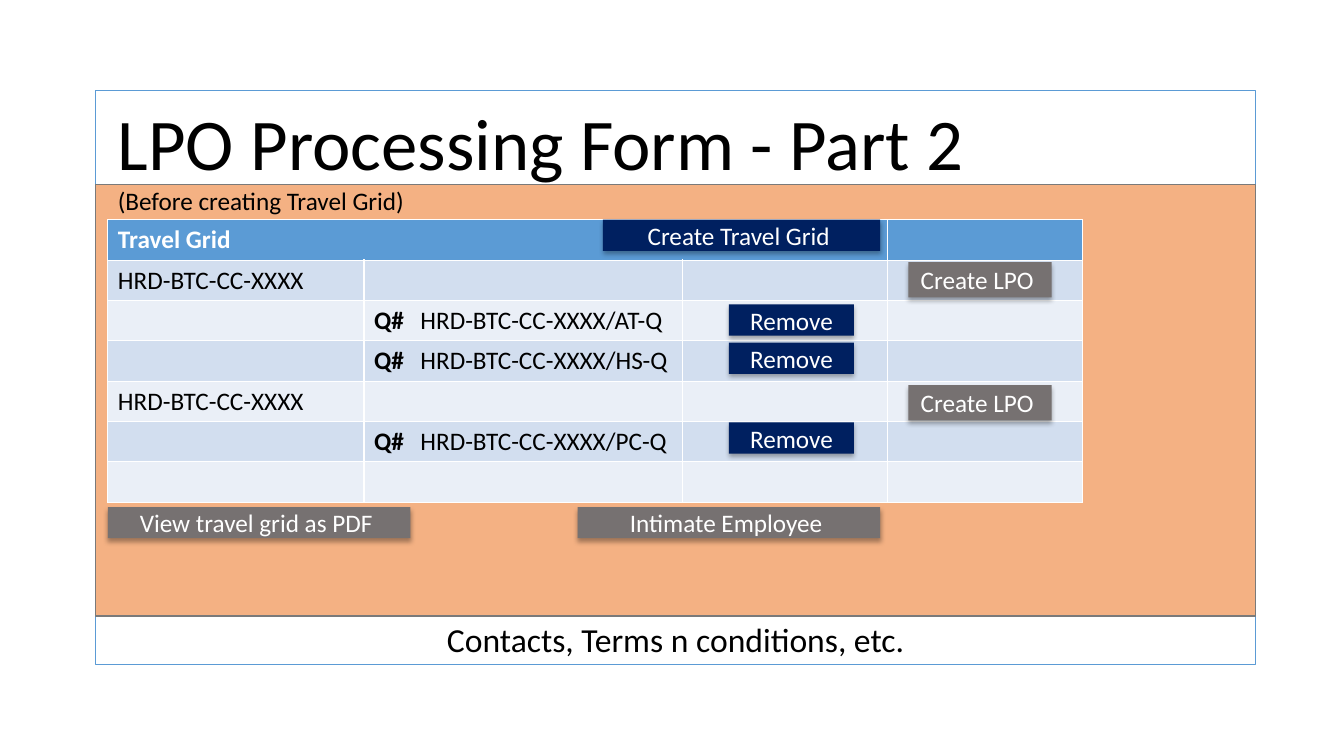
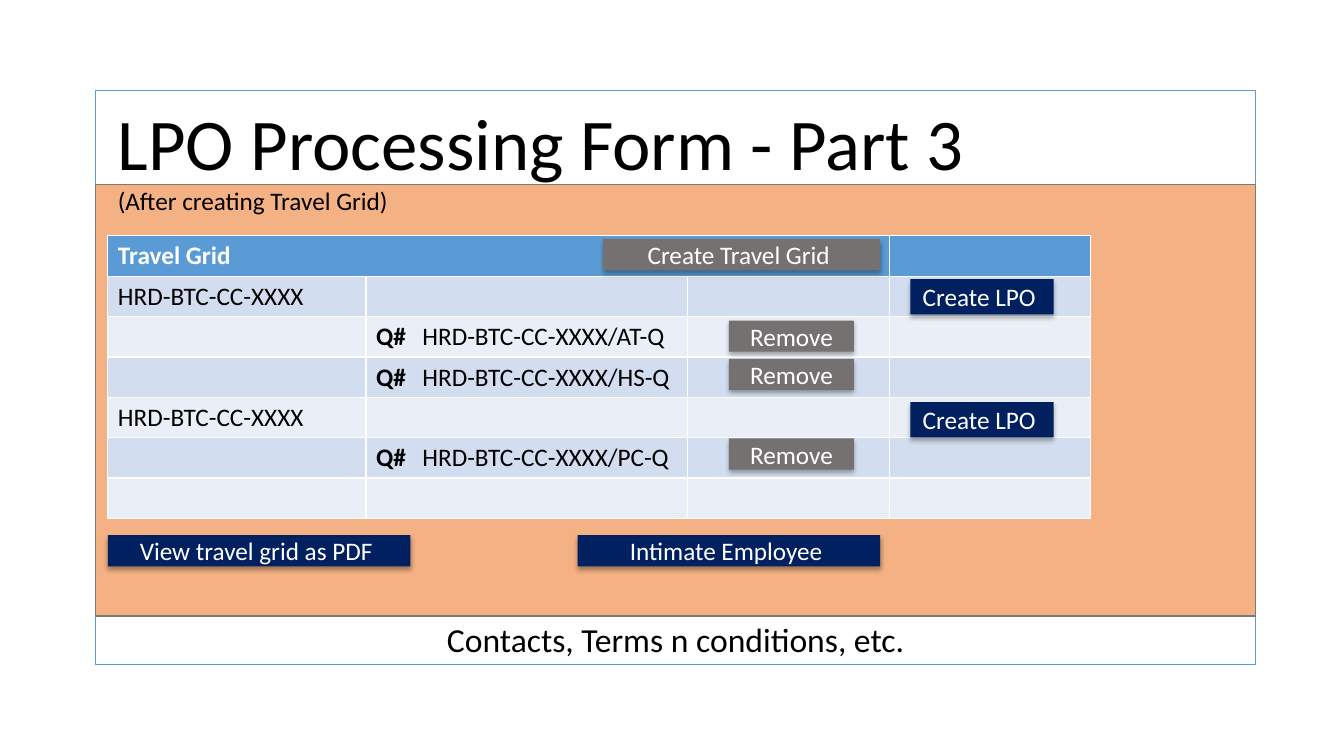
from lxml import etree
from pptx import Presentation
from pptx.dml.color import RGBColor
from pptx.enum import shapes, text
from pptx.oxml import ns
from pptx.util import Inches, Pt

FONT = "Calibri"
WHITE, BLACK = "FFFFFF", "000000"
BLUE, PANEL, PANEL_LINE = "5B9BD5", "F4B183", "7A7A7A"
NAVY, GREY = "002060", "767171"
BANDS = ["D2DEEF", "EAEFF7"]

FOOTER = "Contacts, Terms n conditions, etc."
HEADING = "Travel Grid"
REQUEST = "HRD-BTC-CC-XXXX"
GRID = [(REQUEST, ""), ("", "/AT-Q"), ("", "/HS-Q"), (REQUEST, ""), ("", "/PC-Q"), ("", "")]
TAB = 0.46
GRID_LEFT, ROW_HEIGHT = 1.07, 0.4
REMOVE_OFFSETS = [0.84, 1.22, 2.01]
LPO_PITCH = 1.22

SLIDES = [
    {
        "title": "LPO Processing Form - Part 2",
        "note": "(Before creating Travel Grid)",
        "top": 2.18,
        "cols": [2.54, 3.16, 2.03, 1.94],
        "create_offset": 0,
        "lpo": (9.01, 0.42),
        "actions_offset": 2.85,
        "editing": NAVY,
        "issuing": GREY,
    },
    {
        "title": "LPO Processing Form - Part 3",
        "note": "(After creating Travel Grid)",
        "top": 2.34,
        "cols": [2.56, 3.19, 2, 2],
        "create_offset": 0.03,
        "lpo": (9.03, 0.43),
        "actions_offset": 2.97,
        "editing": GREY,
        "issuing": NAVY,
    },
]


def rgb(color):
    return RGBColor.from_string(color)


def inches(*values):
    return [Inches(v) for v in values]


def add_run(p, words, size, color=BLACK, bold=False):
    r = p.add_run()
    r.text = words
    r.font.name = FONT
    r.font.size = Pt(size)
    r.font.bold = bold
    r.font.color.rgb = rgb(color)


def add_box(parent, at, fill, line=None):
    sp = parent.shapes.add_shape(shapes.MSO_SHAPE.RECTANGLE, *inches(*at))
    sp.shadow.inherit = False
    sp.fill.solid()
    sp.fill.fore_color.rgb = rgb(fill)
    if line:
        sp.line.color.rgb = rgb(line)
        sp.line.width = Pt(1)
    else:
        sp.line.fill.background()
    return sp


def add_text(parent, at, lines, align=text.PP_ALIGN.LEFT):
    tf = parent.shapes.add_textbox(*inches(*at)).text_frame
    tf.word_wrap = True
    for i, (words, size) in enumerate(lines):
        p = tf.add_paragraph() if i else tf.paragraphs[0]
        p.alignment = align
        add_run(p, words, size)


def add_frame(s, title, note):
    frame = s.shapes.add_group_shape()
    add_box(frame, (0.95, 0.9, 11.5, 5.69), WHITE, BLUE)
    add_box(frame, (0.95, 1.83, 11.5, 4.28), PANEL, PANEL_LINE)
    add_text(frame, (1.07, 0.92, 11.12, 1.28), [(title, 52), (note, 18)])
    add_text(frame, (0.94, 6.09, 11.52, 0.5), [(FOOTER, 24)], text.PP_ALIGN.CENTER)


def add_shadow(sp):
    effects = sp._element.spPr.find(ns.qn("a:effectLst"))
    shadow = etree.SubElement(
        effects, ns.qn("a:outerShdw"), blurRad=str(Pt(3.5)), dist=str(Pt(2.2)),
        dir="5400000", algn="t", rotWithShape="0")
    color = etree.SubElement(shadow, ns.qn("a:srgbClr"), val=BLACK)
    etree.SubElement(color, ns.qn("a:alpha"), val="32000")


def add_button(s, label, at, fill):
    sp = add_box(s, at, fill)
    add_shadow(sp)
    tf = sp.text_frame
    tf.word_wrap = True
    tf.vertical_anchor = text.MSO_ANCHOR.MIDDLE
    p = tf.paragraphs[0]
    p.alignment = text.PP_ALIGN.CENTER
    add_run(p, label, 18, WHITE)


def add_quote(p, suffix):
    tabs = etree.SubElement(p._p.get_or_add_pPr(), ns.qn("a:tabLst"))
    etree.SubElement(tabs, ns.qn("a:tab"), pos=str(Inches(TAB)), algn="l")
    add_run(p, "Q#\t", 18, bold=True)
    add_run(p, REQUEST + suffix, 18)


def add_grid(s, top, cols):
    rows = len(GRID) + 1
    at = inches(GRID_LEFT, top, sum(cols), rows * ROW_HEIGHT)
    table = s.shapes.add_table(rows, len(cols), *at).table
    for col, width in zip(table.columns, cols):
        col.width = Inches(width)
    for i, row in enumerate(table.rows):
        row.height = Inches(ROW_HEIGHT)
        for cell in row.cells:
            cell.fill.solid()
            cell.fill.fore_color.rgb = rgb(BANDS[(i - 1) % 2] if i else BLUE)
    table.cell(0, 0).merge(table.cell(0, 2))
    add_run(table.cell(0, 0).text_frame.paragraphs[0], HEADING, 18, WHITE, True)
    for i, (request, suffix) in enumerate(GRID, 1):
        if request:
            add_run(table.cell(i, 0).text_frame.paragraphs[0], request, 18)
        if suffix:
            add_quote(table.cell(i, 1).text_frame.paragraphs[0], suffix)


def add_buttons(s, form):
    top, editing, issuing = form["top"], form["editing"], form["issuing"]
    add_button(s, "Create Travel Grid ", (5.98, top + form["create_offset"], 2.75, 0.31), editing)
    for offset in REMOVE_OFFSETS:
        add_button(s, "Remove", (7.23, top + offset, 1.24, 0.31), editing)
    left, offset = form["lpo"]
    for i in range(2):
        add_button(s, "Create LPO ", (left, top + offset + i * LPO_PITCH, 1.42, 0.35), issuing)
    for label, left in [("View travel grid as PDF ", GRID_LEFT), ("Intimate Employee ", 5.73)]:
        add_button(s, label, (left, top + form["actions_offset"], 3, 0.31), issuing)


def main():
    prs = Presentation()
    prs.slide_width, prs.slide_height = inches(13.33, 7.5)
    for form in SLIDES:
        s = prs.slides.add_slide(prs.slide_layouts[6])
        add_frame(s, form["title"], form["note"])
        add_grid(s, form["top"], form["cols"])
        add_buttons(s, form)
    prs.save("out.pptx")


if __name__ == "__main__":
    main()
